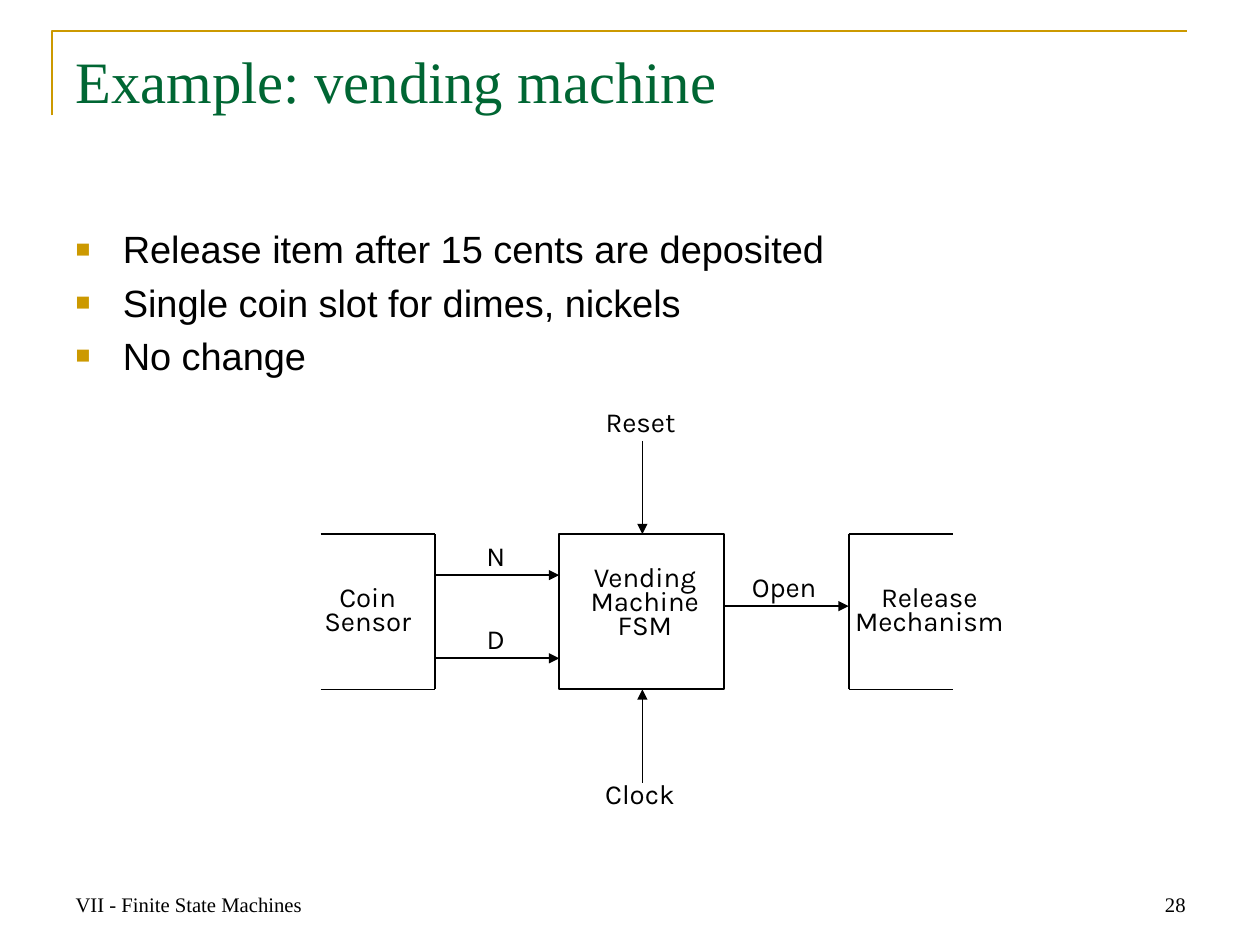
"""Build the vending machine slide with its finite state machine diagram."""
from dataclasses import dataclass
from typing import Any

from lxml import etree
from pptx import Presentation
from pptx import util as u
from pptx.dml.color import RGBColor
from pptx.enum import shapes, text
from pptx.oxml import ns

BLACK, GOLD, GREEN = "000000", "CC9900", "006633"
SERIF, SANS, LABEL = "Times New Roman", "Arial", "Karla"
LEFT, CENTER, RIGHT = text.PP_ALIGN.LEFT, text.PP_ALIGN.CENTER, text.PP_ALIGN.RIGHT
TOP, BOTTOM = text.MSO_ANCHOR.TOP, text.MSO_ANCHOR.BOTTOM

PAGE_FRAME = {
    "margin_left": u.Inches(0.1), "margin_right": u.Inches(0.1),
    "margin_top": u.Inches(0.05), "margin_bottom": u.Inches(0.05),
    "word_wrap": True,
}
LABEL_FRAME = {
    "margin_left": u.Inches(0.02), "margin_right": u.Inches(0.02),
    "margin_top": u.Inches(0.03), "margin_bottom": u.Inches(0.03),
    "word_wrap": False,
}
LABEL_PARAGRAPH = {"alignment": CENTER, "line_spacing": u.Pt(14)}

SENSOR_LEFT, SENSOR_RIGHT = 2.58, 3.5
FSM_LEFT, FSM_RIGHT, FSM_MIDDLE = 4.5, 5.83, 5.17
RELEASE_LEFT, RELEASE_RIGHT = 6.83, 7.67
BLOCK_TOP, BLOCK_BOTTOM = 4.3, 5.55


@dataclass(frozen=True)
class Box:
    left: float
    top: float
    width: float
    height: float

    def lengths(self) -> list[int]:
        return [u.Inches(n) for n in (self.left, self.top, self.width, self.height)]


@dataclass(frozen=True)
class Label:
    wording: str
    box: Box


@dataclass(frozen=True)
class Wire:
    x1: float
    y1: float
    x2: float
    y2: float
    arrow: bool = False


LABELS = [
    Label("Vending\nMachine\nFSM", Box(4.69, 4.55, 1.0, 0.75)),
    Label("N", Box(3.83, 4.38, 0.32, 0.36)),
    Label("D", Box(3.83, 5.05, 0.32, 0.36)),
    Label("Reset", Box(4.83, 3.3, 0.65, 0.36)),
    Label("Clock", Box(4.8, 6.3, 0.7, 0.36)),
    Label("Open", Box(6, 4.63, 0.62, 0.36)),
    Label("Coin\nSensor", Box(2.58, 4.71, 0.76, 0.56)),
    Label("Release\nMechanism", Box(6.83, 4.71, 1.3, 0.56)),
]
BLOCK_SIDES = [
    Wire(wall, BLOCK_TOP, wall, BLOCK_BOTTOM) for wall in (SENSOR_RIGHT, RELEASE_LEFT)
] + [
    Wire(start, edge, end, edge)
    for start, end in ((SENSOR_LEFT, SENSOR_RIGHT), (RELEASE_LEFT, RELEASE_RIGHT))
    for edge in (BLOCK_TOP, BLOCK_BOTTOM)
]
SIGNALS = [
    Wire(FSM_RIGHT, 4.88, RELEASE_LEFT, 4.88, True),
    Wire(SENSOR_RIGHT, 4.63, FSM_LEFT, 4.63, True),
    Wire(SENSOR_RIGHT, 5.3, FSM_LEFT, 5.3, True),
    Wire(FSM_MIDDLE, 3.55, FSM_MIDDLE, BLOCK_TOP, True),
    Wire(FSM_MIDDLE, 6.3, FSM_MIDDLE, BLOCK_BOTTOM, True),
]
REQUIREMENTS = [
    "Release item after 15 cents are deposited",
    "Single coin slot for dimes, nickels",
    "No change",
]


def color(value: str) -> RGBColor:
    return RGBColor.from_string(value)


def apply(target: Any, values: dict[str, Any]) -> None:
    for name, value in values.items():
        setattr(target, name, value)


def add_child(parent: Any, tag: str, **attributes: str) -> Any:
    return etree.SubElement(parent, ns.qn(tag), attributes)


def set_line(line: Any, value: str, width: float) -> None:
    line.color.rgb = color(value)
    line.width = u.Pt(width)


def add_text(slide: Any, box: Box, wordings: list[str], font: str, size: float,
             frame_format: dict[str, Any], paragraph_format: dict[str, Any],
             ink: str = BLACK, anchor: Any = TOP) -> Any:
    frame = slide.shapes.add_textbox(*box.lengths()).text_frame
    apply(frame, frame_format | {"vertical_anchor": anchor})
    for index, wording in enumerate(wordings):
        paragraph = frame.add_paragraph() if index else frame.paragraphs[0]
        paragraph.text = wording
        apply(paragraph, paragraph_format)
        for run in paragraph.runs:
            apply(run.font, {"name": font, "size": u.Pt(size)})
            run.font.color.rgb = color(ink)
    return frame


def add_bullets(frame: Any) -> None:
    for index, paragraph in enumerate(frame.paragraphs):
        if index:
            paragraph.space_before = u.Pt(4.4)
        properties = paragraph._p.get_or_add_pPr()
        indent = u.Inches(0.38)
        properties.set("marL", str(indent))
        properties.set("indent", str(-indent))
        add_child(add_child(properties, "a:buClr"), "a:srgbClr", val=GOLD)
        add_child(properties, "a:buSzPct", val="65000")
        add_child(properties, "a:buFont", typeface=SANS)
        add_child(properties, "a:buChar", char="■")


def add_wire(slide: Any, wire: Wire) -> None:
    ends = [u.Inches(n) for n in (wire.x1, wire.y1, wire.x2, wire.y2)]
    connector = slide.shapes.add_connector(shapes.MSO_CONNECTOR.STRAIGHT, *ends)
    set_line(connector.line, BLACK, 1)
    if wire.arrow:
        add_child(connector.line._get_or_add_ln(), "a:tailEnd", type="triangle")
    add_child(connector._element.spPr, "a:effectLst")


def add_corner_rule(slide: Any) -> None:
    builder = slide.shapes.build_freeform(u.Inches(0.42), u.Inches(0.93))
    corners = [(u.Inches(x), u.Inches(0.25)) for x in (0.42, 9.55)]
    builder.add_line_segments(corners, close=False)
    rule = builder.convert_to_shape()
    rule.shadow.inherit = False
    rule.fill.background()
    set_line(rule.line, GOLD, 1.5)


def add_fsm_block(slide: Any) -> None:
    box = Box(FSM_LEFT, BLOCK_TOP, FSM_RIGHT - FSM_LEFT, BLOCK_BOTTOM - BLOCK_TOP)
    block = slide.shapes.add_shape(shapes.MSO_SHAPE.RECTANGLE, *box.lengths())
    block.shadow.inherit = False
    block.fill.background()
    set_line(block.line, BLACK, 1)


def main() -> None:
    deck = Presentation()
    apply(deck, {"slide_width": u.Inches(10.14), "slide_height": u.Inches(7.6)})
    slide = deck.slides.add_slide(deck.slide_layouts[6])
    add_corner_rule(slide)
    for left, wording, side in ((0.51, "VII - Finite State Machines", LEFT), (7.27, "28", RIGHT)):
        add_text(slide, Box(left, 6.92, 2.37, 0.51), [wording], SERIF, 12,
                 PAGE_FRAME, {"alignment": side}, anchor=BOTTOM)
    for label in LABELS:
        add_text(slide, label.box, [label.wording], LABEL, 16, LABEL_FRAME, LABEL_PARAGRAPH)
    add_text(slide, Box(0.51, 0.31, 9.12, 1.26), ["Example: vending machine"], SERIF, 34,
             PAGE_FRAME, {"alignment": LEFT}, ink=GREEN)
    requirements = add_text(slide, Box(0.51, 1.77, 9.12, 5.02), REQUIREMENTS, SANS, 22,
                            PAGE_FRAME, {"alignment": LEFT})
    add_bullets(requirements)
    add_fsm_block(slide)
    for wire in BLOCK_SIDES + SIGNALS:
        add_wire(slide, wire)
    deck.save("out.pptx")


if __name__ == "__main__":
    main()
